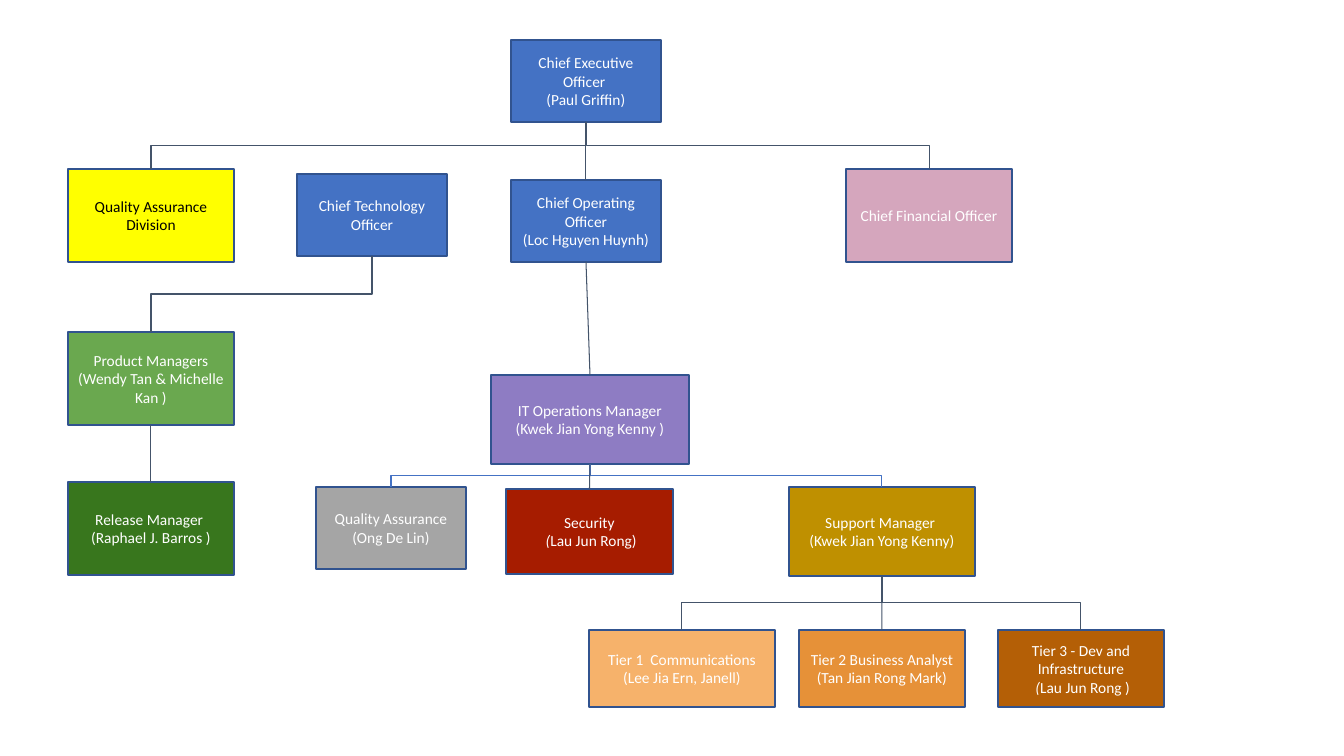
from dataclasses import dataclass

from lxml import etree
from pptx import Presentation
from pptx import util as u
from pptx.dml.color import RGBColor
from pptx.enum import shapes, text
from pptx.oxml import ns

SCALE = 914400 / 100.8


@dataclass(frozen=True)
class Theme:
    font: str = "Calibri"
    size: float = 11
    edge: float = 1
    wire: float = 0.75
    white: str = "FFFFFF"
    black: str = "000000"
    blue: str = "4472C4"
    navy: str = "31538F"
    slate: str = "44546A"
    yellow: str = "FFFF00"
    pink: str = "D5A6BD"
    green: str = "6AA84F"
    forest: str = "38761D"
    purple: str = "8E7CC3"
    gray: str = "A5A5A5"
    red: str = "A61C00"
    gold: str = "BF9000"
    peach: str = "F6B26B"
    orange: str = "E69138"
    brown: str = "B45F06"


LOOK = Theme()


def px(n):
    return u.Emu(round(n * SCALE))


def rgb(code):
    return RGBColor.from_string(code)


def card(slide, box, x, y, w, h, fill, lines, ink=LOOK.white):
    left, top = box
    shape = slide.shapes.add_shape(
        shapes.MSO_SHAPE.RECTANGLE, px(left + x), px(top + y), px(w), px(h))
    shape.shadow.inherit = False
    shape.fill.solid()
    shape.fill.fore_color.rgb = rgb(fill)
    shape.line.color.rgb = rgb(LOOK.navy)
    shape.line.width = u.Pt(LOOK.edge)
    frame = shape.text_frame
    frame.word_wrap = True
    frame.vertical_anchor = text.MSO_ANCHOR.MIDDLE
    frame.text = "\n".join(lines)
    for para in frame.paragraphs:
        para.alignment = text.PP_ALIGN.CENTER
        if para.text.startswith(" ("):
            rest = para.text[2:]
            para.text = " ("
            para.runs[0].font.italic = True
            para.add_run().text = rest
        for run in para.runs:
            run.font.name = LOOK.font
            run.font.size = u.Pt(LOOK.size)
            run.font.color.rgb = rgb(ink)
    return shape


def link(slide, boss, staff, bent=False, color=LOOK.slate):
    kind = shapes.MSO_CONNECTOR.ELBOW if bent else shapes.MSO_CONNECTOR.STRAIGHT
    line = slide.shapes.add_connector(kind, 0, 0, 0, 0)
    line.begin_connect(boss, 2)
    line.end_connect(staff, 0)
    line.line.color.rgb = rgb(color)
    line.line.width = u.Pt(LOOK.wire)
    props = line._element.spPr
    etree.SubElement(props, ns.qn("a:effectLst"))
    if bent:
        turn(line, props.find(ns.qn("a:xfrm")))


def turn(line, frame):
    right = line.end_x > line.begin_x
    mid_x = (line.begin_x + line.end_x) // 2
    mid_y = (line.begin_y + line.end_y) // 2
    wide, high = line.width, line.height
    line.width, line.height = high, wide
    line.left, line.top = mid_x - high // 2, mid_y - wide // 2
    frame.set("rot", str((270 if right else 90) * 60000))
    frame.set("flipH", "1" if right else "0")
    frame.set("flipV", "0")


def board(slide, box):
    chief = card(slide, box, 443, 0, 150, 82, LOOK.blue,
                 ["Chief Executive Officer ", "(Paul Griffin)"])
    ops = card(slide, box, 443, 140, 150, 82, LOOK.blue,
               ["Chief Operating Officer", "(Loc Hguyen Huynh)"])
    money = card(slide, box, 778, 129, 166, 93, LOOK.pink,
                 ["Chief Financial Officer"])
    check = card(slide, box, 0, 129, 166, 93, LOOK.yellow,
                 ["Quality Assurance Division"], LOOK.black)
    tech = card(slide, box, 229, 134, 150, 82, LOOK.blue,
                ["Chief Technology Officer"])
    for staff in (check, money):
        link(slide, chief, staff, bent=True)
    link(slide, chief, ops)
    return tech, ops


def product(slide, box, boss):
    lead = card(slide, box, 0, 0, 166, 93, LOOK.green,
                ["Product Managers (Wendy Tan & Michelle Kan )"])
    ship = card(slide, box, 0, 150, 166, 93, LOOK.forest,
                ["Release Manager ", "(Raphael J. Barros )"])
    link(slide, boss, lead, bent=True)
    link(slide, lead, ship)


def running(slide, box, boss):
    lead = card(slide, box, 175, 0, 198, 89, LOOK.purple,
                ["IT Operations Manager", "(Kwek Jian Yong Kenny )"])
    check = card(slide, box, 0, 112, 150, 82, LOOK.gray,
                 ["Quality Assurance", "(Ong De Lin)"])
    guard = card(slide, box, 190, 114, 167, 85, LOOK.red,
                 ["Security", " (Lau Jun Rong)"])
    help_desk = card(slide, box, 473, 112, 186, 89, LOOK.gold,
                     ["Support Manager ", "(Kwek Jian Yong Kenny)"])
    link(slide, boss, lead)
    for staff in (help_desk, check):
        link(slide, lead, staff, bent=True, color=LOOK.blue)
    link(slide, lead, guard)
    return help_desk


def support(slide, box, boss):
    tiers = [
        (0, 186, LOOK.peach, ["Tier 1  Communications (Lee Jia Ern, Janell)"]),
        (210, 166, LOOK.orange, ["Tier 2 Business Analyst (Tan Jian Rong Mark)"]),
        (409, 166, LOOK.brown,
         ["Tier 3 - Dev and Infrastructure", " (Lau Jun Rong )"]),
    ]
    for i, (x, w, fill, lines) in enumerate(tiers):
        tier = card(slide, box, x, 0, w, 77, fill, lines)
        link(slide, boss, tier, bent=i != 1)


def main():
    deck = Presentation()
    deck.slide_width, deck.slide_height = px(1344), px(756)
    slide = deck.slides.add_slide(deck.slide_layouts[6])
    tech, ops = board(slide, (68, 40))
    product(slide, (68, 332), tech)
    desk = running(slide, (316, 375), ops)
    support(slide, (589, 630), desk)
    deck.save("out.pptx")


main()
